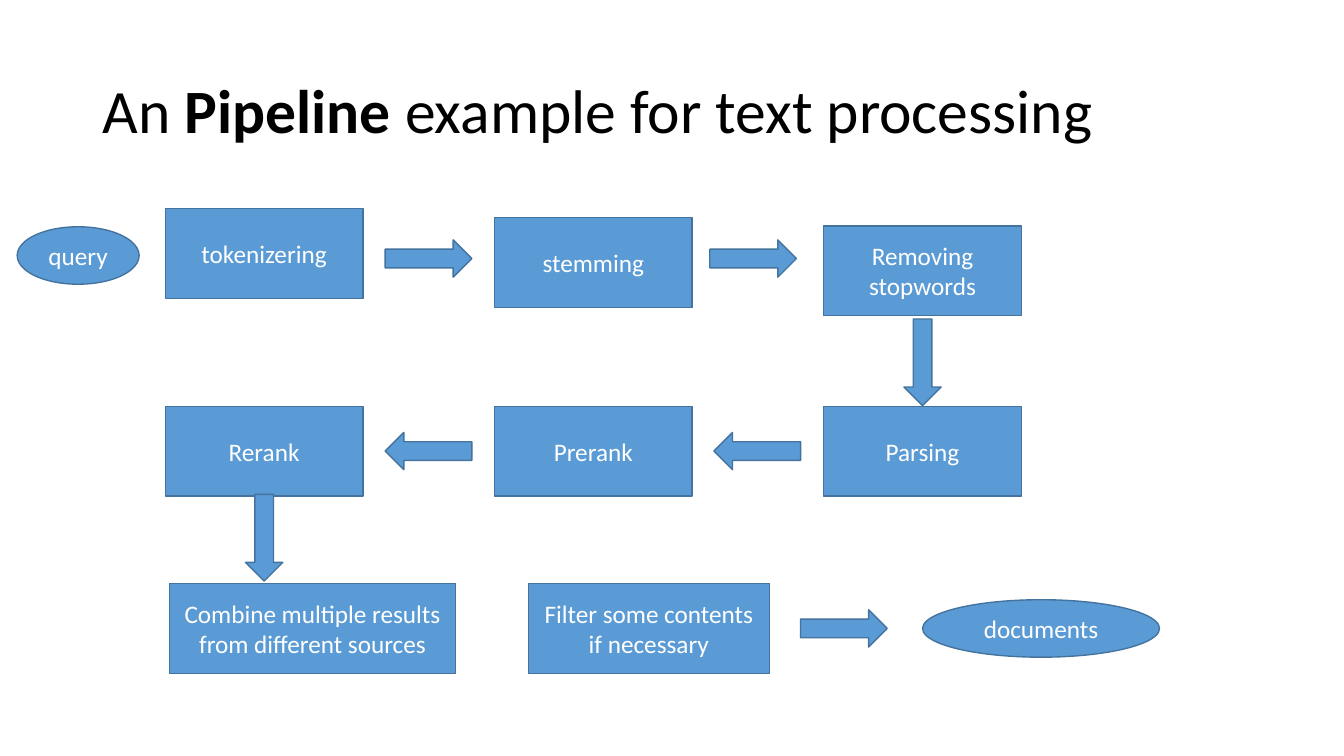
"""Build a slide showing a text processing pipeline from query to documents."""
from pptx import Presentation
from pptx import util as u
from pptx.dml.color import RGBColor
from pptx.enum import shapes, text

COLORS = {"fill": "5B9BD5", "line": "43739E", "title": "000000", "label": "FFFFFF"}
KIND = shapes.MSO_SHAPE
COL_X = [1.64 + 3.265 * col for col in range(3)]
ROW_Y = [2.07, 4.03, 5.79]
BOX_W, BOX_H = 1.96, 0.89
ARROW_W, ARROW_H = 0.86, 0.37
OVAL_H = 0.57


def add_run(p, words, size, color, bold=False):
    r = p.add_run()
    r.text = words
    r.font.name = "Calibri"
    r.font.size = u.Pt(size)
    r.font.bold = bold
    r.font.color.rgb = RGBColor.from_string(COLORS[color])


def add_node(kind, x, y, w, h, label="", rotation=0):
    sp = s.shapes.add_shape(kind, u.Inches(x), u.Inches(y), u.Inches(w), u.Inches(h))
    sp.shadow.inherit = False
    sp.rotation = rotation
    sp.fill.solid()
    sp.fill.fore_color.rgb = RGBColor.from_string(COLORS["fill"])
    sp.line.color.rgb = RGBColor.from_string(COLORS["line"])
    sp.line.width = u.Pt(1)
    if label:
        tf = sp.text_frame
        tf.word_wrap = True
        tf.vertical_anchor = text.MSO_ANCHOR.MIDDLE
        p = tf.paragraphs[0]
        p.alignment = text.PP_ALIGN.CENTER
        add_run(p, label, 18, "label")


prs = Presentation()
prs.slide_width, prs.slide_height = u.Inches(13.33), u.Inches(7.5)
s = prs.slides.add_slide(prs.slide_layouts[6])

title = s.shapes.add_textbox(u.Inches(0.92), u.Inches(0.4), u.Inches(11.5), u.Inches(1.45))
tf = title.text_frame
tf.word_wrap = True
tf.vertical_anchor = text.MSO_ANCHOR.MIDDLE
p = tf.paragraphs[0]
p.line_spacing = 0.9
for words, bold in [("An ", False), ("Pipeline", True), (" example for text processing", False)]:
    add_run(p, words, 44, "title", bold)

top_row = zip(COL_X, ["tokenizering", "stemming", "Removing stopwords"], [0, 0.09, 0.17])
for x, label, drop in top_row:
    add_node(KIND.RECTANGLE, x, ROW_Y[0] + drop, BOX_W, BOX_H, label)
for x, label in zip(COL_X, ["Rerank", "Prerank", "Parsing"]):
    add_node(KIND.RECTANGLE, x, ROW_Y[1], BOX_W, BOX_H, label)
for x, w, label in [
    (1.68, 2.84, "Combine multiple results from different sources"),
    (5.24, 2.39, "Filter some contents if necessary"),
]:
    add_node(KIND.RECTANGLE, x, ROW_Y[2], w, BOX_H, label)

for x, y, rotation in [
    (3.82, 2.38, 0), (7.04, 2.38, 0), (8.72, 3.41, 90),
    (7.08, 4.29, 180), (3.82, 4.29, 180), (2.19, 5.15, 90), (7.94, 6.05, 0),
]:
    add_node(KIND.RIGHT_ARROW, x, y, ARROW_W, ARROW_H, rotation=rotation)

for x, y, w, label in [(0.17, 2.25, 1.21, "query"), (9.15, 5.95, 2.35, "documents")]:
    add_node(KIND.OVAL, x, y, w, OVAL_H, label)

prs.save("out.pptx")
